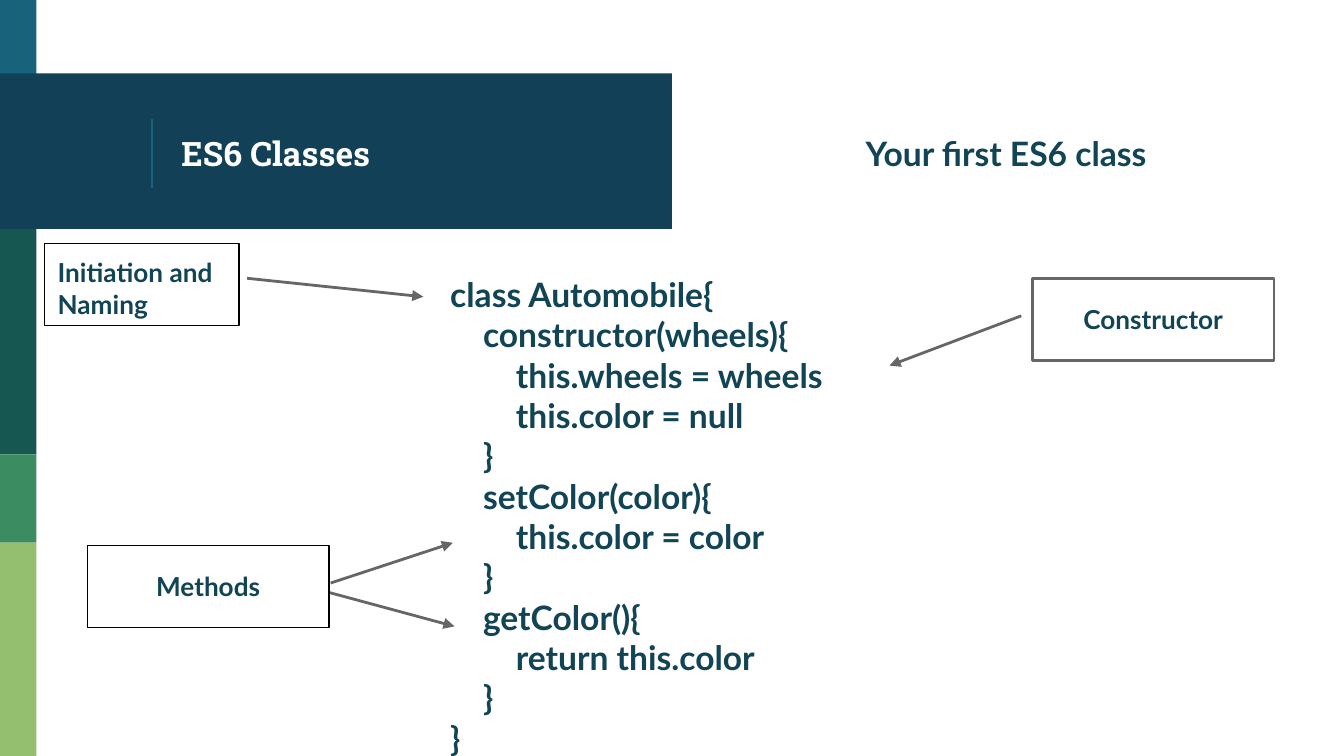
from lxml.etree import SubElement
from pptx import Presentation
from pptx.dml.color import RGBColor
from pptx.enum.shapes import MSO_CONNECTOR, MSO_SHAPE
from pptx.enum.text import MSO_ANCHOR, PP_ALIGN
from pptx.oxml.ns import qn
from pptx.util import Cm, Pt

COLORS = {
    "blue": "18637B", "navy": "124057", "pine": "165751", "green": "3B8D61",
    "lime": "94BF6E", "white": "FFFFFF", "ink": "114454", "gray": "666666",
    "black": "000000",
}
CODE = [
    (0, "class Automobile{"),
    (1, "constructor(wheels){"),
    (2, "this.wheels = wheels"),
    (2, "this.color = null"),
    (1, "}"),
    (1, "setColor(color){"),
    (2, "this.color = color"),
    (1, "}"),
    (1, "getColor(){"),
    (2, "return this.color"),
    (1, "}"),
    (0, "}"),
]
INDENT = 0.62


def color(name):
    """Return the named colour."""
    return RGBColor.from_string(COLORS[name])


def add_box(page, box, fill=None, line=None, weight=0.75):
    """Add a rectangle with an optional fill and outline."""
    shape = page.shapes.add_shape(MSO_SHAPE.RECTANGLE, *map(Cm, box))
    shape.shadow.inherit = False
    if fill:
        shape.fill.solid()
        shape.fill.fore_color.rgb = color(fill)
    else:
        shape.fill.background()
    if line:
        shape.line.color.rgb = color(line)
        shape.line.width = Pt(weight)
    else:
        shape.line.fill.background()
    return shape


def write(shape, lines, size=18, font="Lato", ink="ink",
          align=PP_ALIGN.LEFT, anchor=MSO_ANCHOR.MIDDLE):
    """Fill a shape with bold lines given as (indent level, text) pairs."""
    frame = shape.text_frame
    frame.word_wrap = True
    frame.vertical_anchor = anchor
    frame.margin_left = frame.margin_right = Cm(0.25)
    frame.margin_top = frame.margin_bottom = Cm(0.25)
    for index, (level, text) in enumerate(lines):
        para = frame.add_paragraph() if index else frame.paragraphs[0]
        para.alignment = align
        if level:
            para._p.get_or_add_pPr().set("marL", str(Cm(level * INDENT)))
        span = para.add_run()
        span.text = text
        span.font.size = Pt(size)
        span.font.name = font
        span.font.bold = True
        span.font.color.rgb = color(ink)


def add_text(page, box, lines, **style):
    """Add a text box written in the given style."""
    write(page.shapes.add_textbox(*map(Cm, box)), lines, **style)


def add_line(page, ends, ink, weight, arrow=False):
    """Add a straight line, with an arrowhead at its end if asked."""
    line = page.shapes.add_connector(MSO_CONNECTOR.STRAIGHT, *map(Cm, ends))
    line.line.color.rgb = color(ink)
    line.line.width = Pt(weight)
    if arrow:
        SubElement(line.line._get_or_add_ln(), qn("a:tailEnd"), type="triangle")
    SubElement(line._element.spPr, qn("a:effectLst"))


def add_sidebar(page, box):
    """Stack the coloured blocks down the left edge."""
    left, top, width, height = box
    blocks = [("blue", 0), ("pine", 4.32), ("green", 8.59), ("lime", 10.26)]
    stops = [start for _, start in blocks[1:]] + [height]
    for (fill, start), stop in zip(blocks, stops):
        add_box(page, (left, top + start, width, stop - start), fill)


def add_header(page, box):
    """Draw the title band with its rule, and the subtitle beside it."""
    left, top, width, height = box
    add_box(page, (left, top, width, height), "navy")
    rule = left + 2.87
    add_line(page, (rule, top + 0.86, rule, top + 2.16), "blue", 0.75)
    add_text(page, (left + 3.18, top + 0.08, 8.92, 2.84), [(0, "ES6 Classes")],
             font="Roboto Slab", ink="white")
    add_text(page, (left + width + 0.69, top + 0.08, 11.25, 2.84),
             [(0, "Your first ES6 class")], align=PP_ALIGN.CENTER)


def add_diagram(page, box):
    """Place the code with its labels and arrows."""
    left, top, width, height = box
    add_text(page, (left + 7.42, top + 0.33, 8.92, height - 0.33), CODE,
             anchor=MSO_ANCHOR.TOP)
    arrows = [
        (3.83, 0.66, 7.16, 1.01),
        (18.46, 1.37, 15.97, 2.31),
        (5.41, 6.42, 7.72, 5.66),
        (5.38, 6.6, 7.75, 7.24),
    ]
    for x1, y1, x2, y2 in arrows:
        ends = (left + x1, top + y1, left + x2, top + y2)
        add_line(page, ends, "gray", 1.5, arrow=True)
    centred = {"align": PP_ALIGN.CENTER}
    labels = [
        ("Initiation and Naming", 0, 0, 3.68, "black", 0.75,
         {"anchor": MSO_ANCHOR.TOP}),
        ("Constructor", width - 4.57, 0.66, 4.57, "gray", 1.5, centred),
        ("Methods", 0.81, 5.71, 4.57, "black", 0.75, centred),
    ]
    for text, x, y, span, line, weight, style in labels:
        label = add_box(page, (left + x, top + y, span, 1.55),
                        line=line, weight=weight)
        write(label, [(0, text)], size=14, **style)


def main():
    """Build the slide and save it."""
    deck = Presentation()
    deck.slide_width, deck.slide_height = Cm(25.4), Cm(14.29)
    page = deck.slides.add_slide(deck.slide_layouts[6])
    add_sidebar(page, (0, 0, 0.69, 14.29))
    add_header(page, (0, 1.39, 12.7, 2.94))
    add_diagram(page, (0.84, 4.6, 23.24, 9.69))
    deck.save("out.pptx")


main()
